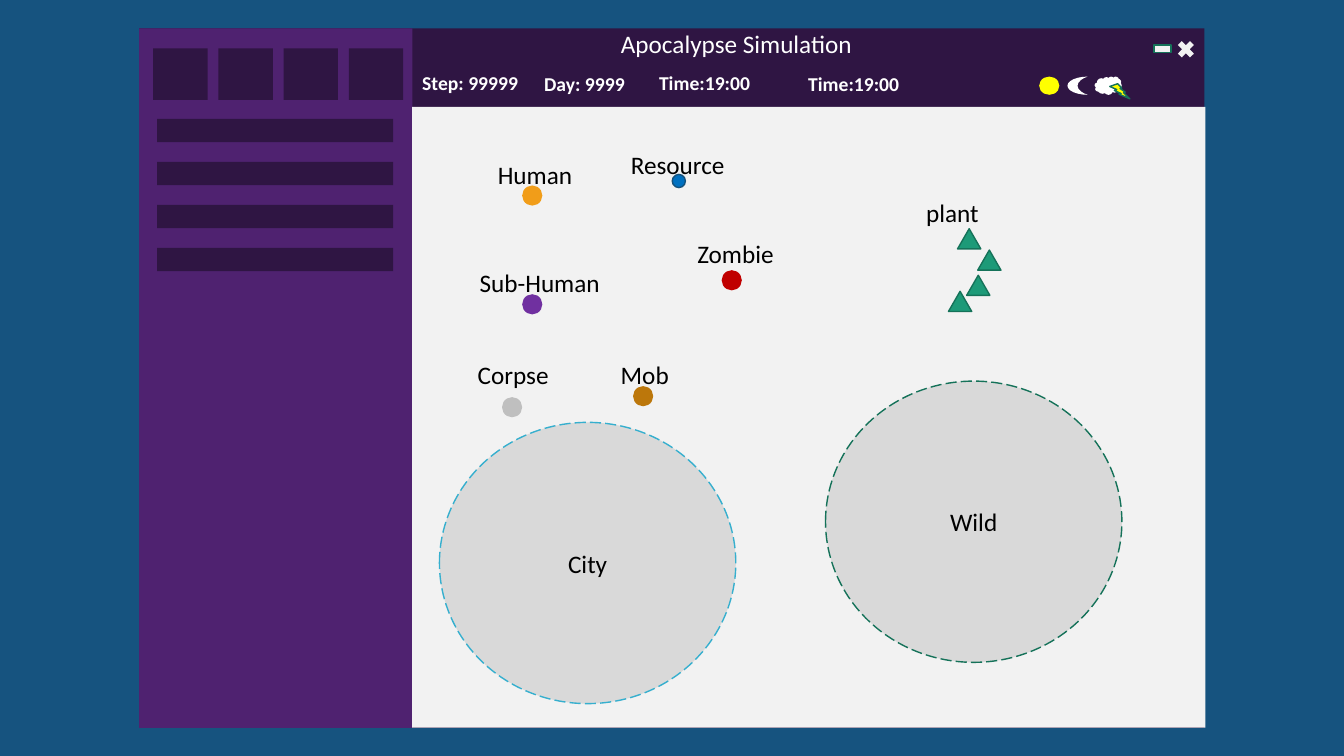
"""Build a one-slide mock-up of a simulation window."""
from pptx import Presentation
from pptx.dml.color import RGBColor
from pptx.enum.dml import MSO_LINE
from pptx.enum.shapes import MSO_SHAPE
from pptx.enum.text import MSO_ANCHOR, MSO_AUTO_SIZE, PP_ALIGN
from pptx.util import Pt

RECT, OVAL = MSO_SHAPE.RECTANGLE, MSO_SHAPE.OVAL
CROSS, MINUS = MSO_SHAPE.MATH_MULTIPLY, MSO_SHAPE.MATH_MINUS
MOON, CLOUD = MSO_SHAPE.MOON, MSO_SHAPE.CLOUD
BOLT, PEAK = MSO_SHAPE.LIGHTNING_BOLT, MSO_SHAPE.ISOSCELES_TRIANGLE
DASH = MSO_LINE.LONG_DASH
TOP, MIDDLE = MSO_ANCHOR.TOP, MSO_ANCHOR.MIDDLE
LEFT, CENTER = PP_ALIGN.LEFT, PP_ALIGN.CENTER
FIXED, GROW = MSO_AUTO_SIZE.NONE, MSO_AUTO_SIZE.SHAPE_TO_FIT_TEXT

FONT = "Calibri"
COLORS = {
    "back": "16537F", "dark": "2F1543", "side": "4F2270", "field": "F2F2F2",
    "white": "FFFFFF", "black": "000000", "sun": "FFFF00", "edge": "157259",
    "human": "F19D19", "item": "0070C0", "rim": "15527D", "sub": "7030A0",
    "zombie": "C00000", "mob": "BC770B", "corpse": "BFBFBF",
    "plant": "1D9A78", "zone": "D9D9D9", "city": "36AFCE",
}
STATS = [
    ("Step: 99999", 294.5, 46.8, 87.8),
    ("Day: 9999", 381.6, 47.5, 76.3),
    ("Time:19:00", 463.7, 46.8, 81.4),
    ("Time:19:00", 570.2, 48.2, 81.4),
]
ACTORS = [
    ("Human", "human", None, (373, 132.5, 14.4), (348.5, 110.2, 79.2)),
    ("Resource", "item", "rim", (480.2, 124.6, 9.4), (443.5, 103, 92.2)),
    ("Sub-Human", "sub", None, (373, 210.2, 14.4), (335.5, 187.2, 109.4)),
    ("Zombie", "zombie", None, (515.5, 193, 14.4), (491, 167, 79.2)),
    ("Mob", "mob", None, (452.2, 275.8, 14.4), (436.3, 253.4, 79.2)),
    ("Corpse", "corpse", None, (358.6, 283.7, 14.4), (334.1, 253.4, 79.2)),
]
PLANTS = [(684, 163.4), (698.4, 178.6), (690.5, 196.6), (677.5, 208.1)]
ZONES = [("Wild", "edge", 589.7, 272.2), ("City", "city", 313.9, 301.7)]


def rgb(name):
    """Look up a named colour."""
    return RGBColor.from_string(COLORS[name])


def write(frame, text, color="black", size=18, bold=False, align=LEFT):
    """Add one formatted run to the first paragraph."""
    para = frame.paragraphs[0]
    para.alignment = align
    run = para.add_run()
    run.text = text
    font = run.font
    font.name, font.size, font.bold = FONT, Pt(size), bold
    font.color.rgb = rgb(color)


def shape(slide, kind, x, y, w, h, fill, line=None):
    """Add a filled preset shape, outlined when a line colour is given."""
    item = slide.shapes.add_shape(kind, Pt(x), Pt(y), Pt(w), Pt(h))
    item.shadow.inherit = False
    item.fill.solid()
    item.fill.fore_color.rgb = rgb(fill)
    if line:
        item.line.color.rgb = rgb(line)
        item.line.width = Pt(1)
    else:
        item.line.fill.background()
    return item


def label(slide, text, x, y, w, h=28.8, **style):
    """Add a text box with one line of text."""
    frame = slide.shapes.add_textbox(Pt(x), Pt(y), Pt(w), Pt(h)).text_frame
    frame.word_wrap = True
    frame.auto_size = GROW
    write(frame, text, **style)


def head(slide):
    """Place the slide title in the window's header, above the panels."""
    title = slide.shapes.title
    title.left, title.top = Pt(436.3), Pt(16.6)
    title.width, title.height = Pt(194.4), Pt(28.8)
    frame = title.text_frame
    frame.auto_size = FIXED
    frame.vertical_anchor = TOP
    write(frame, "Apocalypse Simulation", "white")
    title.element.getparent().append(title.element)


def window(slide):
    """Draw the window, its side panel and its buttons."""
    shape(slide, RECT, 99.4, 20.2, 761, 499.7, "dark")
    shape(slide, RECT, 99.4, 20.2, 195.1, 499.7, "side")
    shape(slide, CROSS, 838.8, 26.6, 16.6, 17.3, "field")
    shape(slide, MINUS, 822.2, 23, 16.6, 23.8, "field", "edge")
    shape(slide, RECT, 294.5, 76.3, 566.6, 443.5, "field")
    for i in range(4):
        shape(slide, RECT, 109.4 + 46.6 * i, 34.6, 38.9, 36.7, "dark")
        shape(slide, RECT, 112.3, 85 + 30.7 * i, 168.5, 16.6, "dark")


def status(slide):
    """Draw the counters and the weather icons."""
    for text, x, y, w in STATS:
        label(slide, text, x, y, w, 24.5, color="white", size=14, bold=True)
    shape(slide, OVAL, 742.3, 54.7, 14.4, 13, "sun")
    shape(slide, MOON, 762.5, 54.7, 14.4, 13, "white")
    shape(slide, CLOUD, 781.9, 54.7, 19.4, 13, "white")
    shape(slide, BOLT, 792.7, 59.8, 14.4, 10.8, "sun", "edge")


def zone(slide, name, line, x, y):
    """Draw a dashed round zone with its name in the centre."""
    item = shape(slide, OVAL, x, y, 211.7, 200.9, "zone", line)
    item.line.dash_style = DASH
    item.text_frame.vertical_anchor = MIDDLE
    write(item.text_frame, name, align=CENTER)


def main():
    """Build and save the slide."""
    deck = Presentation()
    deck.slide_width, deck.slide_height = Pt(960), Pt(540)
    slide = deck.slides.add_slide(deck.slide_layouts[5])
    slide.background.fill.solid()
    slide.background.fill.fore_color.rgb = rgb("back")
    window(slide)
    head(slide)
    status(slide)
    for name, fill, line, (x, y, size), place in ACTORS:
        shape(slide, OVAL, x, y, size, size, fill, line)
        label(slide, name, *place)
    for x, y in PLANTS:
        shape(slide, PEAK, x, y, 16.6, 14.4, "plant", "edge")
    label(slide, "plant", 654.5, 137.5, 79.2)
    for spot in ZONES:
        zone(slide, *spot)
    deck.save("out.pptx")


main()
